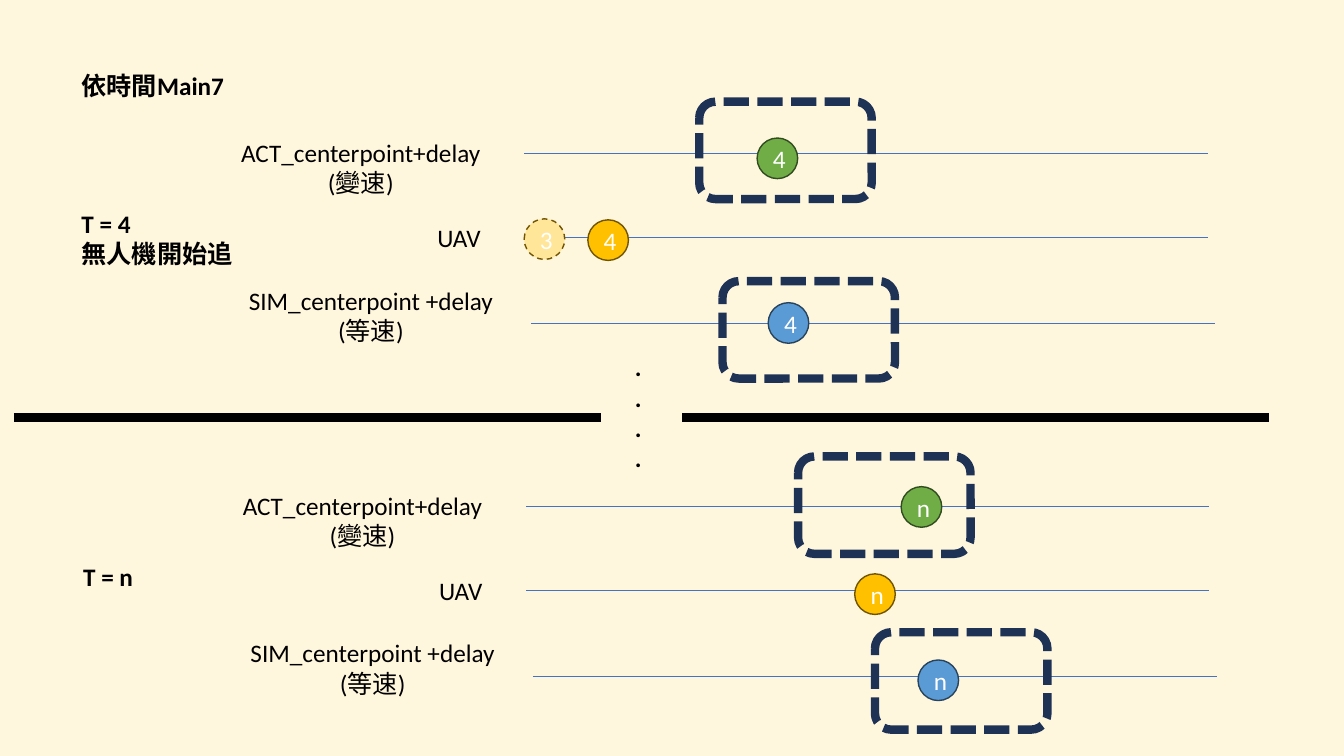
import pptx
import pptx.util
import pptx.dml.color
import pptx.enum.dml
import pptx.enum.shapes
import pptx.enum.text
import pptx.oxml.ns
import lxml.etree
from dataclasses import dataclass

Pt = pptx.util.Pt
color = pptx.dml.color.RGBColor.from_string
Align = pptx.enum.text.PP_ALIGN
Shape = pptx.enum.shapes.MSO_SHAPE
Dash = pptx.enum.dml.MSO_LINE


@dataclass(frozen=True)
class Theme:
    background: str = "FFF7DD"
    ink: str = "000000"
    light: str = "FFFFFF"
    track: str = "4472C4"
    frame: str = "1E3256"
    actual: tuple = ("70AD47", "314C1F")
    drone: tuple = ("FFC000", "705400")
    earlier: tuple = ("FFE699", "705400")
    simulated: tuple = ("5B9BD5", "28445D")
    font: str = "Calibri"
    size: int = 18


theme = Theme()


def write(text, box, ink=theme.ink, bold=False, align=Align.LEFT, wrap=True, fit=True):
    frame = box.text_frame
    frame.word_wrap = wrap
    if fit:
        frame.auto_size = pptx.enum.text.MSO_AUTO_SIZE.SHAPE_TO_FIT_TEXT
    for index, line in enumerate(text.split("\n")):
        para = frame.add_paragraph() if index else frame.paragraphs[0]
        para.alignment = align
        span = para.add_run()
        span.text = line
        span.font.name = theme.font
        span.font.size = Pt(theme.size)
        span.font.bold = bold
        span.font.color.rgb = color(ink)


def rule(left, top, width, ink, weight):
    line = page.shapes.add_connector(
        pptx.enum.shapes.MSO_CONNECTOR.STRAIGHT,
        Pt(left), Pt(top), Pt(left + width), Pt(top))
    line.line.color.rgb = color(ink)
    line.line.width = Pt(weight)
    lxml.etree.SubElement(line._element.spPr, pptx.oxml.ns.qn("a:effectLst"))


deck = pptx.Presentation()
deck.slide_width = Pt(960)
deck.slide_height = Pt(540)
page = deck.slides.add_slide(deck.slide_layouts[6])
page.background.fill.solid()
page.background.fill.fore_color.rgb = color(theme.background)

box = page.shapes.add_textbox(Pt(51.1), Pt(46.8), Pt(140.4), Pt(29))
write("依時間Main7", box, bold=True)

lanes = [
    ("ACT_centerpoint+delay\n(變速)", 155.5, 94.5, 204.5, 51, 374.4, 109.4),
    ("UAV", 302.4, 155.5, 51, 29, 374.4, 169.9),
    ("SIM_centerpoint +delay\n(等速)", 155.5, 200, 219, 51, 379.5, 231.1),
]
periods = [("T = 4\n無人機開始追", 0, 0, 51), ("T = n", 1.2, 252, 29)]
for title, shift, drop, title_height in periods:
    for label, left, top, width, height, track_left, track_top in lanes:
        rule(track_left + shift, track_top + drop, 488.3, theme.track, 0.5)
        box = page.shapes.add_textbox(Pt(left + shift), Pt(top + drop), Pt(width), Pt(height))
        write(label, box, align=Align.CENTER)
    box = page.shapes.add_textbox(Pt(51.1 + shift), Pt(145.4 + drop), Pt(140.4), Pt(title_height))
    write(title, box, bold=True)

markers = [
    ("4", 419.9, 157, theme.drone, None),
    ("4", 540.8, 98.6, theme.actual, None),
    ("4", 548.7, 216.2, theme.simulated, None),
    ("n", 610.5, 409.9, theme.drone, None),
    ("n", 643.7, 347.6, theme.actual, None),
    ("n", 655.7, 471.4, theme.simulated, None),
    ("3", 374.4, 156.3, theme.earlier, Dash.DASH),
]
for label, left, top, (fill, edge), dash in markers:
    marker = page.shapes.add_shape(Shape.OVAL, Pt(left), Pt(top), Pt(29), Pt(29))
    marker.shadow.inherit = False
    marker.fill.solid()
    marker.fill.fore_color.rgb = color(fill)
    marker.line.color.rgb = color(edge)
    marker.line.width = Pt(1)
    if dash:
        marker.line.dash_style = dash
    write(label, marker, ink=theme.light, align=Align.CENTER, fit=False)

for left, top in [(499.5, 72.6), (516.1, 200.8), (570.1, 326), (625, 451.6)]:
    window = page.shapes.add_shape(Shape.ROUNDED_RECTANGLE, Pt(left), Pt(top), Pt(123.2), Pt(69.6))
    window.shadow.inherit = False
    window.fill.background()
    window.line.color.rgb = color(theme.frame)
    window.line.width = Pt(6)
    window.line.dash_style = Dash.SQUARE_DOT

for left in (10, 487.3):
    rule(left, 298.1, 419.2, theme.ink, 6)

box = page.shapes.add_textbox(Pt(446.4), Pt(247.7), Pt(19.4), Pt(94.3))
write(".\n.\n.\n.", box, bold=True, wrap=False)

deck.save("out.pptx")
